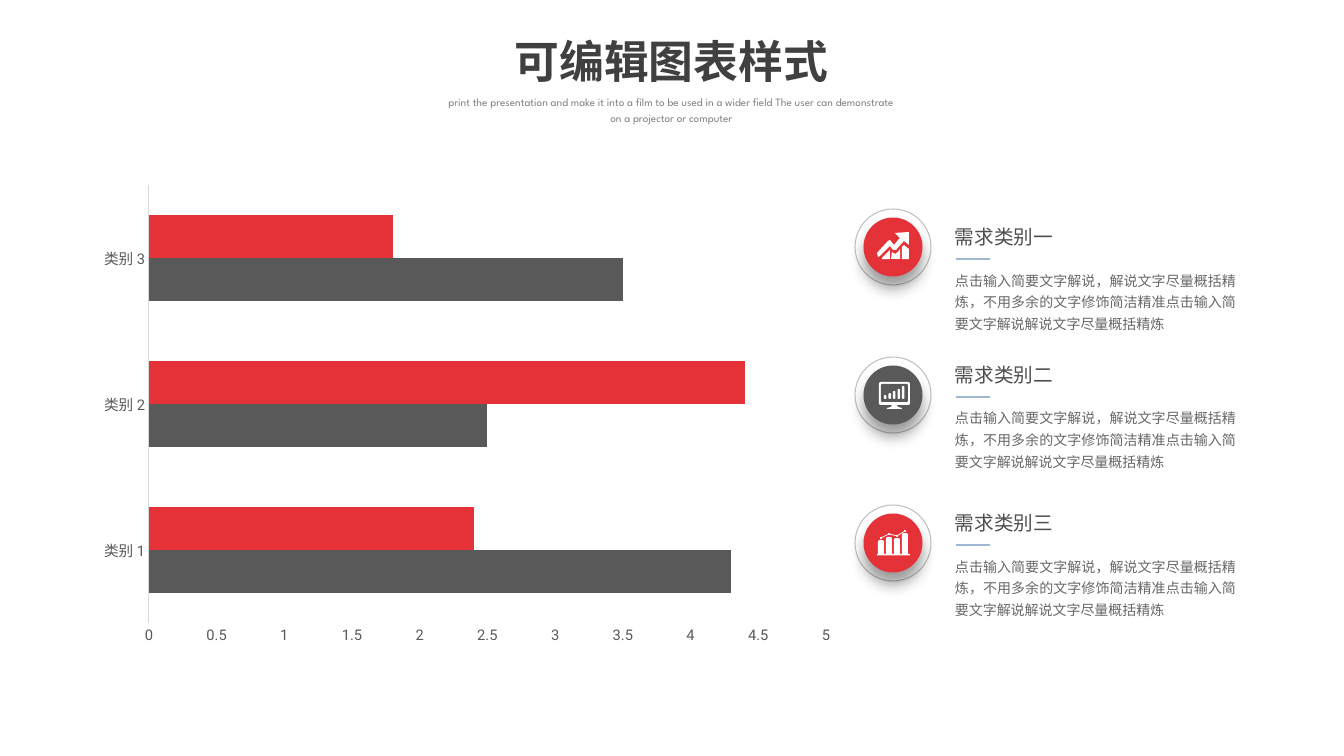
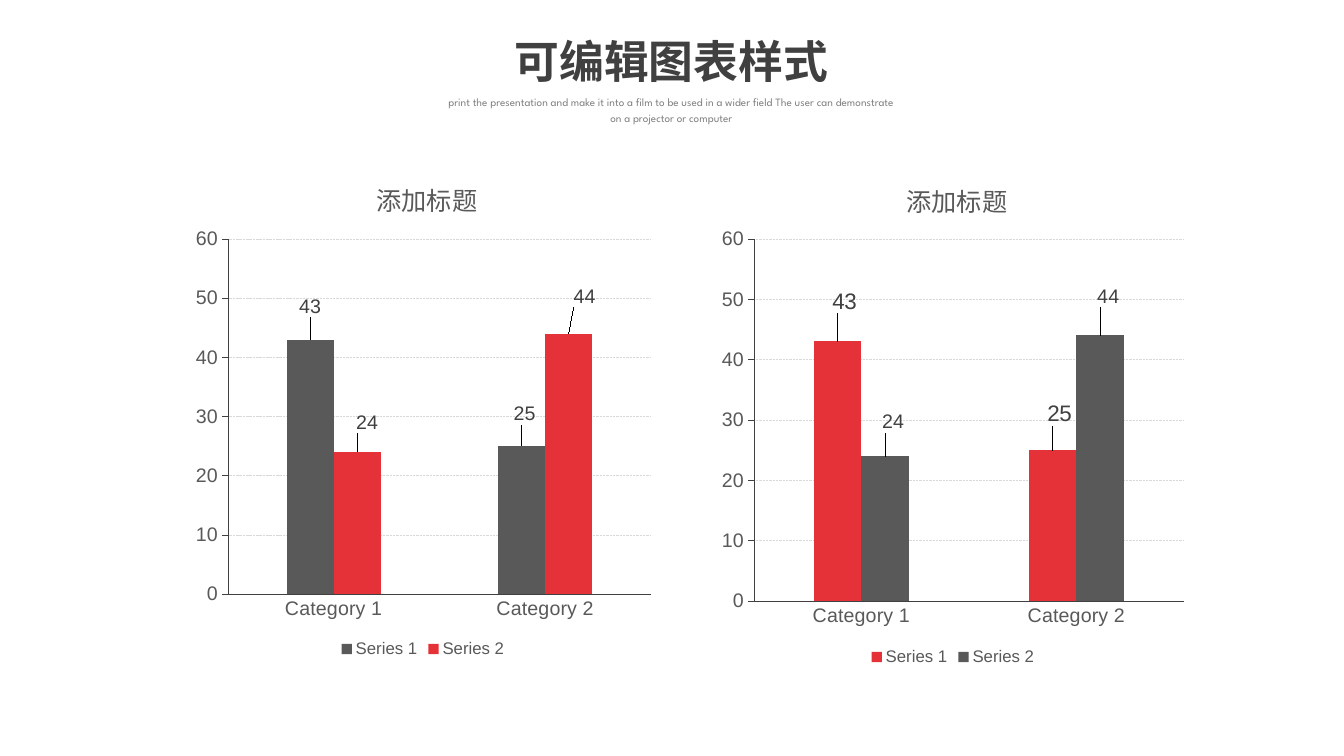
import pptx
import pptx.chart.data
import pptx.dml.color
import pptx.enum.chart
import pptx.enum.dml
import pptx.enum.shapes
import pptx.enum.text
import pptx.oxml
import pptx.oxml.ns
import pptx.oxml.xmlchemy
import pptx.util
from lxml import etree

# Shared style
PX = 914400 / 100.8
RED, GREY, WHITE = "E53238", "595959", "FFFFFF"
DARK, RING, RULE, FAINT = "404040", "BFBFBF", "9FB8D6", "D9D9D9"
DISPLAY, CJK = "League Spartan", "Noto Sans CJK SC"
SHAPE = pptx.enum.shapes.MSO_SHAPE
ALIGN = pptx.enum.text.PP_ALIGN
CHART = pptx.enum.chart
qn = pptx.oxml.ns.qn

# Content
TITLE = "可编辑图表样式"
SUBTITLE = ("print the presentation and make it into a film to be used in a wider field "
            "The user can demonstrate on a projector or computer")
DETAIL = "点击输入简要文字解说，解说文字尽量概括精炼，不用多余的文字修饰简洁精准点击输入简要文字解说解说文字尽量概括精炼"
NEEDS = [  # heading, top of the text, disc colour, icon
    ("需求类别一", 213, RED, "growth"),
    ("需求类别二", 351, GREY, "monitor"),
    ("需求类别三", 499, RED, "bars"),
]
DEMAND = {
    "box": (85, 175, 760, 478), "plot": (149, 185, 677, 438),
    "categories": ["类别 1", "类别 2", "类别 3"],
    "series": [("Series 1", [4.3, 2.5, 3.5], GREY), ("Series 2", [2.4, 4.4, 1.8], RED)],
}
# Series entries go on with label size and label offsets in px
COLUMN_CHARTS = [
    {"box": (185, 149, 476, 513), "plot": (228, 239, 423, 355), "title_at": (372, 174),
     "series": [("Series 1", [43, 25], GREY, 14, [(0, -18), (3, -17)]),
                ("Series 2", [24, 44], RED, 14, [(10, -14), (16, -22)])]},
    {"box": (712, 149, 482, 521), "plot": (754, 239, 430, 362), "title_at": (902, 175),
     "series": [("Series 1", [43, 25], RED, 16, [(7, -24), (7, -20)]),
                ("Series 2", [24, 44], GREY, 14, [(8, -19), (8, -24)])]},
]

# Icon outlines, in px from the disc centre
GROWTH = [
    [(-3, -1), (-13, 9), (-15, 10), (-16, 6), (-5, -6), (-3, -7), (1, -2), (7, -9),
     (2, -14), (16, -15), (16, -2), (11, -6), (3, 3), (0, 3)],
    [(9, 12), (9, 0), (11, -2), (16, 2), (16, 12)],
    [(-2, 12), (-1, 5), (2, 7), (5, 5), (7, 2), (7, 12)],
    [(-11, 12), (-11, 11), (-3, 3), (-3, 12)],
]
STAND = [(-1, 10), (4, 10), (5, 12), (9, 13), (9, 14), (-6, 14), (-6, 13), (-2, 12)]
SCREEN_BAR_TOPS = [0, -2, -4, -6, -9]
BAR_TOPS = [-3, -6, -5, -10]
TREND = [(-12, -5), (-4, -9), (4, -7), (12, -12)]


def rgb(value):
    return pptx.dml.color.RGBColor.from_string(value)


def px(*lengths):
    return [round(length * PX) for length in lengths]


def style_font(font, size, color, name=None):
    font.size = pptx.util.Pt(size)
    font.color.rgb = rgb(color)
    if name:
        font.name = name


def style_line(line, color, width):
    line.color.rgb = rgb(color)
    line.width = pptx.util.Pt(width)


def add_text(slide, box, text, size, color, font, align=ALIGN.LEFT, spacing=1.0, bold=False):
    shape = slide.shapes.add_textbox(*px(*box))
    frame = shape.text_frame
    frame.word_wrap = True
    frame.text = text
    frame.auto_size = pptx.enum.text.MSO_AUTO_SIZE.SHAPE_TO_FIT_TEXT
    paragraph = frame.paragraphs[0]
    paragraph.alignment = align
    paragraph.line_spacing = spacing
    run = paragraph.runs[0]
    style_font(run.font, size, color, font)
    run.font.bold = bold
    east_asian = etree.SubElement(run.font._element, qn("a:ea"))
    east_asian.set("typeface", font)


def paint(shape, fill=None, line=None, width=0.75):
    shape.shadow.inherit = False
    if fill:
        shape.fill.solid()
        shape.fill.fore_color.rgb = rgb(fill)
    else:
        shape.fill.background()
    if line:
        style_line(shape.line, line, width)
    else:
        shape.line.fill.background()
    return shape


def add_preset(slide, kind, box, fill=None, line=None):
    return paint(slide.shapes.add_shape(kind, *px(*box)), fill, line)


def add_outline(slide, center, points, closed=True):
    points = [(center[0] + x, center[1] + y) for x, y in points]
    builder = slide.shapes.build_freeform(*points[0], scale=PX)
    builder.add_line_segments(points[1:], close=closed)
    shape = builder.convert_to_shape()
    return paint(shape, WHITE) if closed else paint(shape, None, WHITE, 0.5)


# Icons
def draw_growth(slide, center, color):
    for points in GROWTH:
        add_outline(slide, center, points)


def draw_monitor(slide, center, color):
    x, y = center
    for box, fill in [((x - 14, y - 13, 31, 23), WHITE), ((x - 12, y - 11, 27, 18), color)]:
        add_preset(slide, SHAPE.ROUNDED_RECTANGLE, box, fill).adjustments[0] = 0.08
    add_outline(slide, center, STAND)
    for index, top in enumerate(SCREEN_BAR_TOPS):
        box = (x - 9 + 4.5 * index, y + top, 2.5, 4 - top)
        add_preset(slide, SHAPE.ROUNDED_RECTANGLE, box, WHITE).adjustments[0] = 0.5


def draw_bars(slide, center, color):
    x, y = center
    add_preset(slide, SHAPE.RECTANGLE, (x - 16, y + 11, 33, 1.5), WHITE)
    for index, top in enumerate(BAR_TOPS):
        box = (x - 15 + 8 * index, y + top, 6, 11 - top)
        add_preset(slide, SHAPE.ROUND_2_SAME_RECTANGLE, box, WHITE).adjustments[0] = 0.3
    add_outline(slide, center, TREND, closed=False)
    for dot_x, dot_y in TREND:
        add_preset(slide, SHAPE.OVAL, (x + dot_x - 1, y + dot_y - 1, 2, 2), WHITE)


ICONS = {"growth": draw_growth, "monitor": draw_monitor, "bars": draw_bars}


def add_disc(slide, center, color):
    x, y = center
    add_preset(slide, SHAPE.OVAL, (x - 38, y - 38, 76, 76), None, RING)
    disc = add_preset(slide, SHAPE.OVAL, (x - 29.5, y - 29.5, 59, 59), color)
    effects = disc._element.spPr.find(qn("a:effectLst"))
    shadow = etree.SubElement(effects, qn("a:outerShdw"), blurRad=str(pptx.util.Pt(11)),
                              dist=str(pptx.util.Pt(8)), dir="5400000", algn="t", rotWithShape="0")
    black = etree.SubElement(shadow, qn("a:srgbClr"), val="000000")
    etree.SubElement(black, qn("a:alpha"), val="40000")


def add_need(slide, index, heading, top, color, icon):
    center = (893, 247 + 148 * index)
    add_disc(slide, center, color)
    ICONS[icon](slide, center, color)
    y = top + 46
    rule = slide.shapes.add_connector(pptx.enum.shapes.MSO_CONNECTOR.STRAIGHT, *px(956, y, 990, y))
    style_line(rule.line, RULE, 1.5)
    etree.SubElement(rule._element.spPr, qn("a:effectLst"))
    add_text(slide, (945, top + 49, 301, 99), DETAIL, 10, "686769", CJK, ALIGN.JUSTIFY, 1.3)
    add_text(slide, (945, top, 146, 38), heading, 14, "4F4D50", CJK, spacing=1.3)


# Charts
def set_layout(element, position, **values):
    """Give a chart part a manual layout; values come in schema order."""
    for old in element.findall(qn("c:layout")):
        element.remove(old)
    layout = etree.Element(qn("c:layout"))
    manual = etree.SubElement(layout, qn("c:manualLayout"))
    for name, value in values.items():
        text = value if isinstance(value, str) else f"{value:.4f}"
        etree.SubElement(manual, qn("c:" + name), val=text)
    element.insert(position, layout)


def add_bars(slide, kind, content, categories, gap, font, size):
    data = pptx.chart.data.CategoryChartData()
    data.categories = categories
    for name, values, *_ in content["series"]:
        data.add_series(name, values)
    chart = slide.shapes.add_chart(kind, *px(*content["box"]), data).chart
    chart.has_title = chart.has_legend = False
    style_font(chart.font, 10, "000000", font)
    plot = chart.plots[0]
    plot.gap_width = gap
    plot.overlap = 0
    plot.vary_by_categories = False
    for series, entry in zip(plot.series, content["series"]):
        series.format.fill.solid()
        series.format.fill.fore_color.rgb = rgb(entry[2])
    for axis in (chart.category_axis, chart.value_axis):
        axis.has_major_gridlines = False
        axis.major_tick_mark = axis.minor_tick_mark = CHART.XL_TICK_MARK.NONE
        style_font(axis.tick_labels.font, size, GREY, font)
    left, top, width, height = content["box"]
    x, y, w, h = content["plot"]
    set_layout(chart._chartSpace.chart.plotArea, 0, layoutTarget="inner", xMode="edge", yMode="edge",
               x=(x - left) / width, y=(y - top) / height, w=w / width, h=h / height)
    return chart


def add_demand_chart(slide):
    chart = add_bars(slide, CHART.XL_CHART_TYPE.BAR_CLUSTERED, DEMAND,
                     DEMAND["categories"], 138, "Roboto", 10.5)
    style_line(chart.category_axis.format.line, FAINT, 0.75)
    chart.value_axis.format.line.fill.background()


def add_column_chart(slide, content):
    chart = add_bars(slide, CHART.XL_CHART_TYPE.COLUMN_CLUSTERED, content,
                     ["Category 1", "Category 2"], 250, "Arial", 14)
    left, top, width, height = content["box"]
    # Axes and grid
    for axis in (chart.category_axis, chart.value_axis):
        style_line(axis.format.line, DARK, 0.25)
    axis = chart.value_axis
    axis.minimum_scale, axis.maximum_scale, axis.major_unit = 0, 60, 10
    axis.major_tick_mark = CHART.XL_TICK_MARK.OUTSIDE
    axis.has_major_gridlines = True
    grid = axis.major_gridlines.format.line
    style_line(grid, FAINT, 0.25)
    grid.dash_style = pptx.enum.dml.MSO_LINE.SQUARE_DOT
    # Title and legend
    chart.has_title = True
    frame = chart.chart_title.text_frame
    frame.text = "添加标题"
    style_font(frame.paragraphs[0].runs[0].font, 18, GREY, "Arial")
    frame.paragraphs[0].runs[0].font.bold = False
    x, y = content["title_at"]
    set_layout(chart.chart_title._element, 1, xMode="edge", yMode="edge",
               x=(x - left) / width, y=(y - top) / height)
    chart.has_legend = True
    chart.legend.position = CHART.XL_LEGEND_POSITION.BOTTOM
    chart.legend.include_in_layout = False
    style_font(chart.legend.font, 12, GREY, "Arial")
    # Value labels, moved off the bar ends
    for series, (_, _, _, size, offsets) in zip(chart.plots[0].series, content["series"]):
        series.data_labels.show_value = True
        style_font(series.data_labels.font, size, DARK, "Arial")
        for index in range(len(offsets)):
            label = series.points[index].data_label
            style_font(label.font, size, DARK, "Arial")
            label.position = CHART.XL_LABEL_POSITION.OUTSIDE_END
        labels = series._element.find(qn("c:dLbls")).findall(qn("c:dLbl"))
        for label, (dx, dy) in zip(labels, offsets):
            set_layout(label, 1, x=dx / width, y=dy / height)


def add_slide(presentation):
    slide = presentation.slides.add_slide(presentation.slide_layouts[6])
    add_text(slide, (436, 29, 471, 65), TITLE, 32, DARK, DISPLAY, ALIGN.CENTER, bold=True)
    add_text(slide, (436, 88, 471, 42), SUBTITLE, 8, "808080", DISPLAY, ALIGN.CENTER, 1.2)
    return slide


def main():
    presentation = pptx.Presentation()
    presentation.slide_width, presentation.slide_height = px(1344, 756)

    slide = add_slide(presentation)
    add_demand_chart(slide)
    for index, need in enumerate(NEEDS):
        add_need(slide, index, *need)

    slide = add_slide(presentation)
    for content in COLUMN_CHARTS:
        add_column_chart(slide, content)

    presentation.save("out.pptx")


if __name__ == "__main__":
    main()
